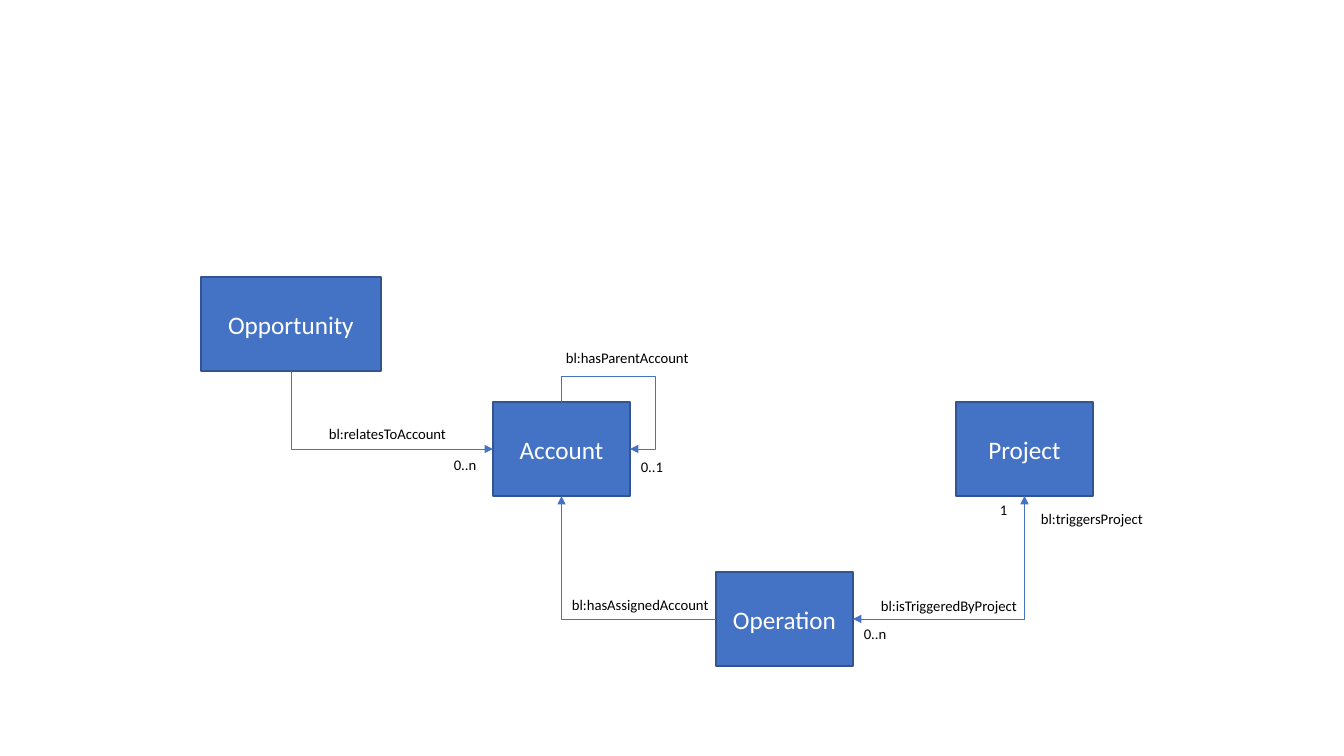
"""Builds a slide with an entity diagram of accounts, projects and their relations."""
from lxml import etree
from pptx import Presentation
from pptx.dml.color import RGBColor
from pptx.enum.shapes import MSO_CONNECTOR, MSO_SHAPE
from pptx.enum.text import MSO_ANCHOR, MSO_AUTO_SIZE, PP_ALIGN
from pptx.oxml.ns import qn
from pptx.util import Emu, Pt

RECTANGLE = MSO_SHAPE.RECTANGLE
ELBOW = MSO_CONNECTOR.ELBOW
MIDDLE = MSO_ANCHOR.MIDDLE
CENTER = PP_ALIGN.CENTER
FIT_TEXT = MSO_AUTO_SIZE.SHAPE_TO_FIT_TEXT
TOP, LEFT, BOTTOM, RIGHT = range(4)
EMU_PER_PIXEL = 914400 / 100.8
FONT = "Calibri"
COLORS = {"entity": "4472C4", "border": "325491", "white": "FFFFFF", "black": "000000"}


def pixels(*lengths):
    return [Emu(round(length * EMU_PER_PIXEL)) for length in lengths]


def color(name):
    return RGBColor.from_string(COLORS[name])


class Diagram:
    """Holds the style and the current slide."""

    def __init__(self, deck):
        self.page = deck.slides.add_slide(deck.slide_layouts[6])

    def add_span(self, para, text, size, ink):
        span = para.add_run()
        span.text = text
        span.font.name = FONT
        span.font.size = Pt(size)
        span.font.color.rgb = color(ink)

    def entity(self, name, left, top, width=137, height=94):
        box = self.page.shapes.add_shape(RECTANGLE, *pixels(left, top, width, height))
        box.shadow.inherit = False
        box.fill.solid()
        box.fill.fore_color.rgb = color("entity")
        box.line.color.rgb = color("border")
        box.line.width = Pt(1)
        box.text_frame.vertical_anchor = MIDDLE
        para = box.text_frame.paragraphs[0]
        para.alignment = CENTER
        self.add_span(para, name, 18, "white")
        return box

    def label(self, text, left, top, width, height=28):
        box = self.page.shapes.add_textbox(*pixels(left, top, width, height))
        box.text_frame.word_wrap = False
        box.text_frame.auto_size = FIT_TEXT
        self.add_span(box.text_frame.paragraphs[0], text, 10.5, "black")

    def relation(self, source, source_side, target, target_side, turn,
                 flip=False, bends=(), arrows=("tailEnd",)):
        line = self.page.shapes.add_connector(ELBOW, 0, 0, 0, 0)
        line.begin_connect(source, source_side)
        line.end_connect(target, target_side)
        self.route(line, turn, flip, bends)
        line.line.color.rgb = color("entity")
        line.line.width = Pt(0.5)
        properties = line._element.spPr
        for arrow in arrows:
            etree.SubElement(properties.find(qn("a:ln")), qn("a:" + arrow), type="triangle")
        etree.SubElement(properties, qn("a:effectLst"))

    def route(self, line, turn, flip, bends):
        center_x = (line.begin_x + line.end_x) // 2
        center_y = (line.begin_y + line.end_y) // 2
        width, height = line.width, line.height
        if turn in (90, 270):
            width, height = height, width
        line.left, line.top = Emu(center_x - width // 2), Emu(center_y - height // 2)
        line.width, line.height = width, height
        frame = line._element.spPr.find(qn("a:xfrm"))
        frame.set("rot", str(turn * 60000))
        frame.set("flipH", str(int(flip)))
        frame.set("flipV", "0")
        geometry = line._element.spPr.find(qn("a:prstGeom"))
        geometry.set("prst", f"bentConnector{2 + len(bends)}")
        guides = geometry.find(qn("a:avLst"))
        for number, bend in enumerate(bends, 1):
            etree.SubElement(guides, qn("a:gd"), name=f"adj{number}", fmla=f"val {bend}")


deck = Presentation()
deck.slide_width, deck.slide_height = pixels(1344, 756)
diagram = Diagram(deck)

opportunity = diagram.entity("Opportunity", 201, 277, 180)
project = diagram.entity("Project", 956, 402)
operation = diagram.entity("Operation", 716, 572)
account = diagram.entity("Account", 493, 402)

diagram.relation(opportunity, BOTTOM, account, LEFT, 270, flip=True)
diagram.relation(operation, LEFT, account, BOTTOM, 180)
diagram.relation(account, TOP, account, RIGHT, 270, flip=True, bends=(-54000, 136800))
diagram.relation(project, BOTTOM, operation, RIGHT, 90, arrows=("headEnd", "tailEnd"))

for text, left, top, width in (
    ("bl:relatesToAccount", 319, 420, 147),
    ("bl:hasAssignedAccount", 562, 591, 159),
    ("bl:hasParentAccount", 556, 344, 145),
    ("bl:triggersProject", 1031, 505, 124),
    ("0..n", 854, 620, 43),
    ("0..n", 444, 451, 43),
    ("0..1", 631, 453, 43),
    ("bl:isTriggeredByProject", 871, 592, 160),
    ("1", 990, 496, 28),
):
    diagram.label(text, left, top, width)

deck.save("out.pptx")
